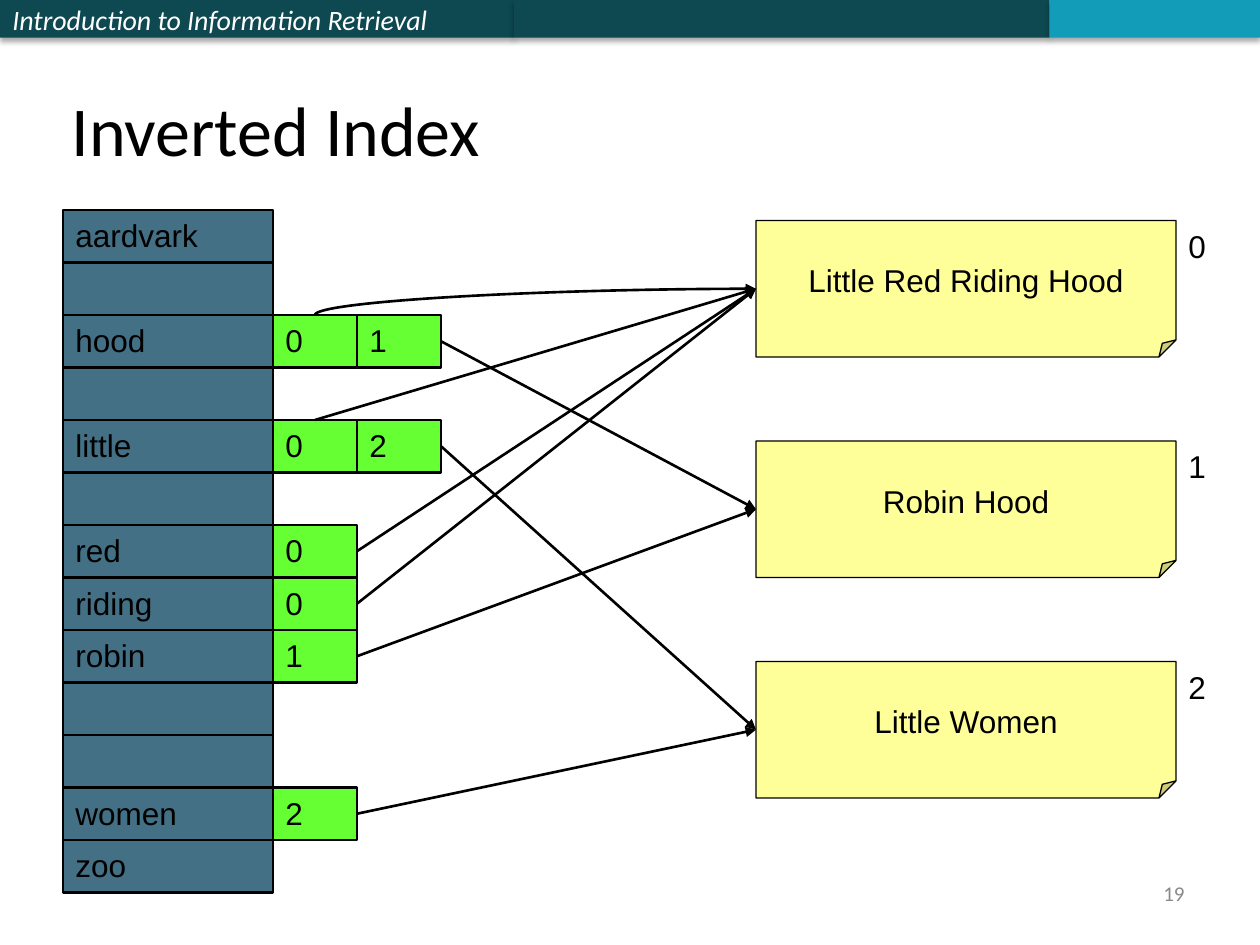
from lxml import etree
from pptx import Presentation
from pptx.dml.color import RGBColor
from pptx.enum.shapes import MSO_CONNECTOR, MSO_SHAPE
from pptx.enum.text import MSO_ANCHOR, PP_ALIGN
from pptx.oxml.ns import qn
from pptx.util import Inches, Pt

RECTANGLE, FOLDED = MSO_SHAPE.RECTANGLE, MSO_SHAPE.FOLDED_CORNER
STRAIGHT, CURVE = MSO_CONNECTOR.STRAIGHT, MSO_CONNECTOR.CURVE
TOP, MIDDLE, BOTTOM = MSO_ANCHOR.TOP, MSO_ANCHOR.MIDDLE, MSO_ANCHOR.BOTTOM
LEFT, CENTER, RIGHT = PP_ALIGN.LEFT, PP_ALIGN.CENTER, PP_ALIGN.RIGHT
TOP_SITE, LEFT_SITE, RIGHT_SITE = 0, 1, 3

BLACK = RGBColor(0x00, 0x00, 0x00)
WHITE = RGBColor(0xFF, 0xFF, 0xFF)
GRAY = RGBColor(0x89, 0x89, 0x89)
DARK_TEAL = RGBColor(0x0E, 0x48, 0x51)
LIGHT_TEAL = RGBColor(0x13, 0x9C, 0xB7)
SLATE = RGBColor(0x43, 0x70, 0x85)
GREEN = RGBColor(0x66, 0xFF, 0x33)
YELLOW = RGBColor(0xFF, 0xFF, 0x99)

BODY = {"name": "Arial", "size": Pt(18)}
HEADER = {"name": "Calibri", "size": Pt(16), "italic": True}
TITLE = {"name": "Calibri", "size": Pt(40)}
NUMBER = {"name": "Calibri", "size": Pt(12)}

TERMS = ["aardvark", "", "hood", "", "little", "", "red", "riding", "robin",
         "", "", "women", "zoo"]
POSTINGS = {"hood": [0, 1], "little": [0, 2], "red": [0], "riding": [0],
            "robin": [1], "women": [2]}
DOCUMENTS = ["Little Red Riding Hood", "Robin Hood", "Little Women"]


def write(shape, text, font, color=BLACK, align=LEFT, anchor=TOP, wrap=True):
    """Put one formatted line of text into a shape."""
    frame = shape.text_frame
    frame.word_wrap = wrap
    frame.vertical_anchor = anchor
    paragraph = frame.paragraphs[0]
    paragraph.alignment = align
    if text:
        run = paragraph.add_run()
        run.text = text
        for name, value in font.items():
            setattr(run.font, name, value)
        run.font.color.rgb = color


def add_box(slide, kind, box, fill, line_width=None):
    """Add a filled shape, outlined in black when a line width is given."""
    shape = slide.shapes.add_shape(kind, *map(Inches, box))
    shape.shadow.inherit = False
    shape.fill.solid()
    shape.fill.fore_color.rgb = fill
    if line_width is None:
        shape.line.fill.background()
    else:
        shape.line.color.rgb = BLACK
        shape.line.width = Pt(line_width)
    return shape


def add_label(slide, box, text, font, **options):
    """Add a text box."""
    write(slide.shapes.add_textbox(*map(Inches, box)), text, font, **options)


def add_shadow(shape):
    """Drop a soft shadow below a shape."""
    effects = shape._element.spPr.find(qn("a:effectLst"))
    shadow = etree.SubElement(effects, qn("a:outerShdw"), blurRad=str(Pt(3.1)),
                              dist=str(Pt(1.8)), dir="5400000", rotWithShape="0")
    color = etree.SubElement(shadow, qn("a:srgbClr"), val="000000")
    etree.SubElement(color, qn("a:alpha"), val="35000")


def add_header(slide, left, top, height):
    """Draw the three-part band with the course name."""
    parts = [(4.08, DARK_TEAL, "Introduction to Information Retrieval"),
             (4.25, DARK_TEAL, ""), (1.67, LIGHT_TEAL, "")]
    for width, fill, text in parts:
        shape = add_box(slide, RECTANGLE, (left, top, width, height), fill)
        add_shadow(shape)
        write(shape, text, HEADER, WHITE, anchor=MIDDLE)
        left += width


def add_title(slide, box, text):
    """Place and format the title placeholder."""
    title = slide.shapes.title
    title.left, title.top, title.width, title.height = map(Inches, box)
    write(title, text, TITLE, anchor=BOTTOM)


def add_index(slide, left, top, term_width, cell_width, row_height):
    """Draw the dictionary with its postings and return the posting cells."""
    cells = {}
    for row, term in enumerate(TERMS):
        y = top + row * row_height
        shape = add_box(slide, RECTANGLE, (left, y, term_width, row_height), SLATE, 1.5)
        write(shape, term, BODY)
        for column, document in enumerate(POSTINGS.get(term, [])):
            x = left + term_width + column * cell_width
            cell = add_box(slide, RECTANGLE, (x, y, cell_width, row_height), GREEN, 1.5)
            write(cell, str(document), BODY)
            cells[term, column] = cell
    return cells


def set_fold(note, ratio):
    """Set the size of the folded corner as a share of the note height."""
    guides = note._element.spPr.find(qn("a:prstGeom")).find(qn("a:avLst"))
    etree.SubElement(guides, qn("a:gd"), name="adj", fmla=f"val {round(ratio * 100000)}")


def add_documents(slide, left, top, width, height, pitch):
    """Draw the numbered document notes and return them."""
    notes = []
    for number, name in enumerate(DOCUMENTS):
        y = top + number * pitch
        note = add_box(slide, FOLDED, (left, y, width, height), YELLOW, 0.75)
        set_fold(note, 0.125)
        write(note, name, BODY, align=CENTER, anchor=MIDDLE, wrap=False)
        add_label(slide, (left + width, y, 0.42, 0.4), str(number), BODY)
        notes.append(note)
    return notes


def bend(connector):
    """Turn a connector into a quarter curve that rises and then runs right."""
    left, top = connector.begin_x, connector.end_y
    run, rise = connector.end_x - left, connector.begin_y - top
    properties = connector._element.spPr
    properties.find(qn("a:prstGeom")).set("prst", "curvedConnector2")
    transform = properties.find(qn("a:xfrm"))
    transform.attrib.clear()
    transform.set("rot", "16200000")
    connector.left, connector.top = left + (run - rise) // 2, top + (rise - run) // 2
    connector.width, connector.height = rise, run


def add_arrow(slide, cell, site, note, curved=False):
    """Connect a posting cell to its document note."""
    connector = slide.shapes.add_connector(CURVE if curved else STRAIGHT, 0, 0, 0, 0)
    connector.begin_connect(cell, site)
    connector.end_connect(note, LEFT_SITE)
    if curved:
        bend(connector)
    connector.line.color.rgb = BLACK
    connector.line.width = Pt(1.5)
    properties = connector._element.spPr
    etree.SubElement(properties.find(qn("a:ln")), qn("a:tailEnd"), type="triangle")
    etree.SubElement(properties, qn("a:effectLst"))


def build():
    """Build the inverted index slide."""
    presentation = Presentation()
    presentation.slide_width, presentation.slide_height = Inches(10), Inches(7.5)
    slide = presentation.slides.add_slide(presentation.slide_layouts[5])
    add_header(slide, 0, 0, 0.3)
    add_title(slide, (0.47, 0.58, 9, 0.82), "Inverted Index")
    cells = add_index(slide, 0.5, 5 / 3, 5 / 3, 2 / 3, 5 / 12)
    notes = add_documents(slide, 6, 1.75, 10 / 3, 13 / 12, 1.75)
    for (term, column), cell in cells.items():
        documents = POSTINGS[term]
        site = RIGHT_SITE if column == len(documents) - 1 else TOP_SITE
        curved = (term, column) == ("hood", 0)
        add_arrow(slide, cell, site, notes[documents[column]], curved)
    add_label(slide, (7.17, 6.83, 2.33, 0.52), "19", NUMBER, color=GRAY,
              align=RIGHT, anchor=MIDDLE)
    presentation.save("out.pptx")


build()
